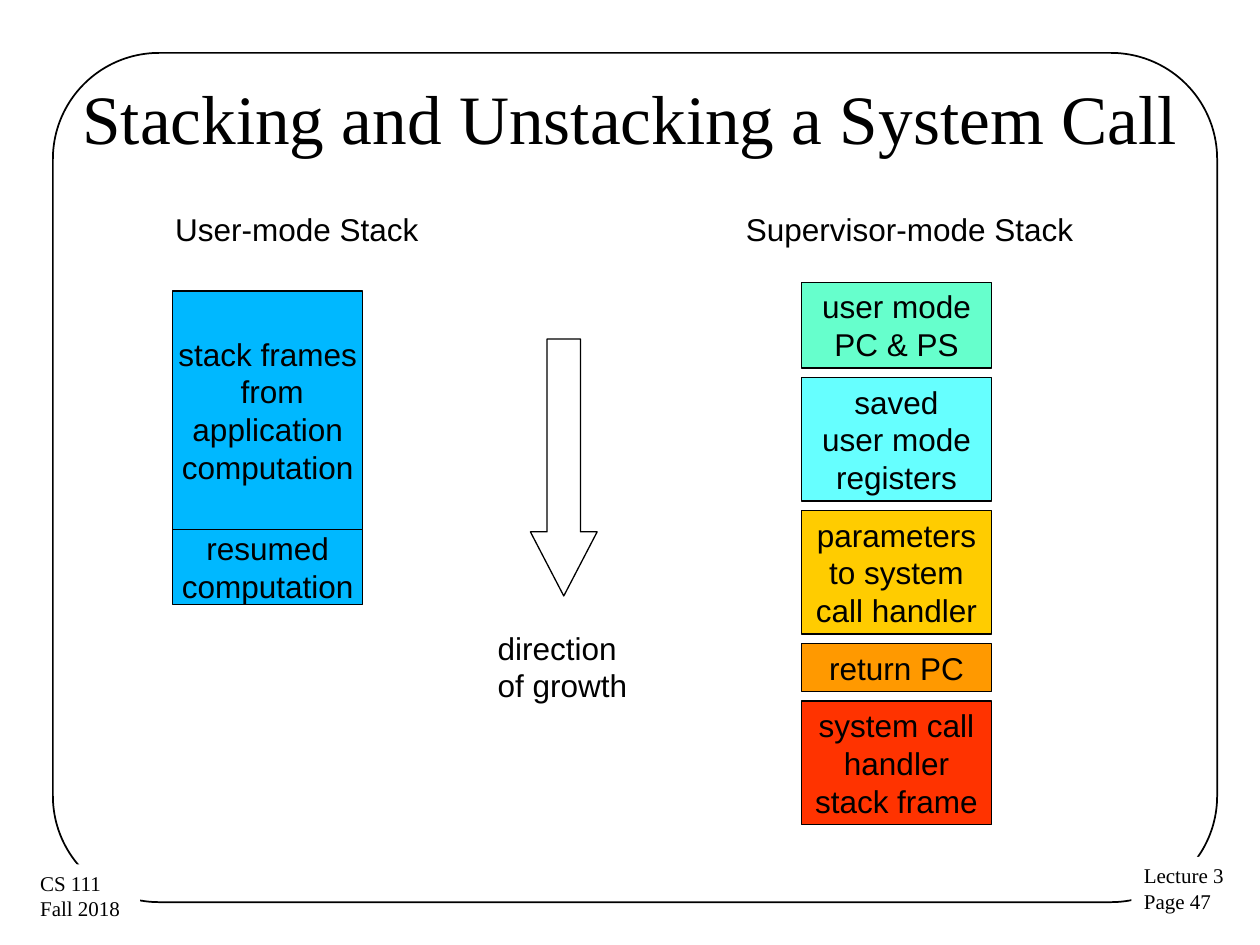
from dataclasses import dataclass

from pptx import Presentation
from pptx.dml.color import RGBColor
from pptx.enum.shapes import MSO_SHAPE
from pptx.enum.text import MSO_ANCHOR, MSO_AUTO_SIZE, PP_ALIGN
from pptx.util import Inches, Pt

RECTANGLE = MSO_SHAPE.RECTANGLE
ROUNDED = MSO_SHAPE.ROUNDED_RECTANGLE
DOWN_ARROW = MSO_SHAPE.DOWN_ARROW
TOP, MIDDLE = MSO_ANCHOR.TOP, MSO_ANCHOR.MIDDLE
LEFT, CENTER = PP_ALIGN.LEFT, PP_ALIGN.CENTER
FIXED, GROW = MSO_AUTO_SIZE.NONE, MSO_AUTO_SIZE.SHAPE_TO_FIT_TEXT
COLUMNS, ROWS = 100, 75
TITLE_ONLY = 5


@dataclass(frozen=True)
class Theme:
    """Colours, typefaces and sizes of the deck."""
    ink: str = "000000"
    paper: str = "FFFFFF"
    user: str = "00B8FF"
    status: str = "66FFCC"
    registers: str = "66FFFF"
    parameters: str = "FFCC00"
    return_address: str = "FF9900"
    handler: str = "FF3300"
    serif: str = "Times New Roman"
    sans: str = "Arial"
    title_size: float = 39.6
    body_size: float = 18
    footer_size: float = 12
    thin: float = 0.75
    frame: float = 1


class StackSlide:
    """Draws styled elements on one slide, measured in grid columns and rows."""

    def __init__(self, deck, theme):
        self.deck, self.theme = deck, theme
        self.page = deck.slides.add_slide(deck.slide_layouts[TITLE_ONLY])

    def place(self, left, top, width, height):
        column, row = self.deck.slide_width / COLUMNS, self.deck.slide_height / ROWS
        return round(left * column), round(top * row), round(width * column), round(height * row)

    def set_text(self, box, text, font, size, align=LEFT, anchor=TOP, fit=FIXED, wrap=False, inset=0.09):
        frame = box.text_frame
        frame.text = text
        frame.word_wrap, frame.auto_size, frame.vertical_anchor = wrap, fit, anchor
        frame.margin_left = frame.margin_right = Inches(inset)
        frame.margin_top = frame.margin_bottom = Inches(0.05)
        for para in frame.paragraphs:
            para.alignment = align
            para.font.name, para.font.size = font, Pt(size)
            para.font.color.rgb = RGBColor.from_string(self.theme.ink)

    def title(self, text, *area):
        box = self.page.shapes.title
        box.left, box.top, box.width, box.height = self.place(*area)
        self.set_text(box, text, self.theme.serif, self.theme.title_size, CENTER, MIDDLE, wrap=True)

    def shape(self, kind, *area, fill=None, weight=None, adjustments=()):
        shape = self.page.shapes.add_shape(kind, *self.place(*area))
        shape.shadow.inherit = False
        if fill:
            shape.fill.solid()
            shape.fill.fore_color.rgb = RGBColor.from_string(fill)
        else:
            shape.fill.background()
        if weight:
            shape.line.color.rgb = RGBColor.from_string(self.theme.ink)
            shape.line.width = Pt(weight)
        else:
            shape.line.fill.background()
        for index, value in enumerate(adjustments):
            shape.adjustments[index] = value
        return shape

    def footer(self, text, *area):
        box = self.shape(RECTANGLE, *area, fill=self.theme.paper)
        self.set_text(box, text, self.theme.serif, self.theme.footer_size, fit=GROW, inset=0.1)

    def label(self, text, *area):
        box = self.page.shapes.add_textbox(*self.place(*area))
        self.set_text(box, text, self.theme.sans, self.theme.body_size, fit=GROW)

    def block(self, text, fill, *area):
        box = self.shape(RECTANGLE, *area, fill=fill, weight=self.theme.thin)
        self.set_text(box, text, self.theme.sans, self.theme.body_size, CENTER, MIDDLE)

    def stack(self, left, top, width, gap, entries):
        for text, fill in entries:
            height = 0.8 + 3 * len(text.split("\n"))
            self.block(text, fill, left, top, width, height)
            top += height + gap


def main():
    """Build and save the system call slide."""
    theme = Theme()
    deck = Presentation()
    deck.slide_width, deck.slide_height = Inches(10), Inches(7.5)
    slide = StackSlide(deck, theme)

    slide.shape(ROUNDED, 4.2, 4.2, 92.4, 67.4, weight=theme.frame, adjustments=[0.125])
    slide.footer("Lecture 3\nPage 47", 89.8, 68, 8.5, 5.1)
    slide.footer("CS 111\nFall 2018", 2.2, 68.6, 8.9, 5.1)
    slide.title("Stacking and Unstacking a System Call", 5, 3, 90, 12.5)

    slide.label("User-mode Stack", 13, 16.2, 21.3, 3.9)
    slide.block("stack frames\n from\napplication\ncomputation", theme.user, 13.7, 23.1, 15.1, 18.9)
    slide.block("resumed\ncomputation", theme.user, 13.7, 42, 15.1, 6)

    slide.shape(DOWN_ARROW, 42.1, 26.9, 5.3, 20.4, weight=theme.thin, adjustments=[0.5, 0.96])
    slide.label("direction\nof growth", 38.6, 49.4, 12.2, 7)

    slide.label("Supervisor-mode Stack", 58.3, 16.2, 28, 3.9)
    slide.stack(63.6, 22.4, 15.1, 0.76, [
        ("user mode\nPC & PS", theme.status),
        ("saved\nuser mode\nregisters", theme.registers),
        ("parameters\nto system\ncall handler", theme.parameters),
        ("return PC", theme.return_address),
        ("system call\nhandler\nstack frame", theme.handler),
    ])
    deck.save("out.pptx")


main()
